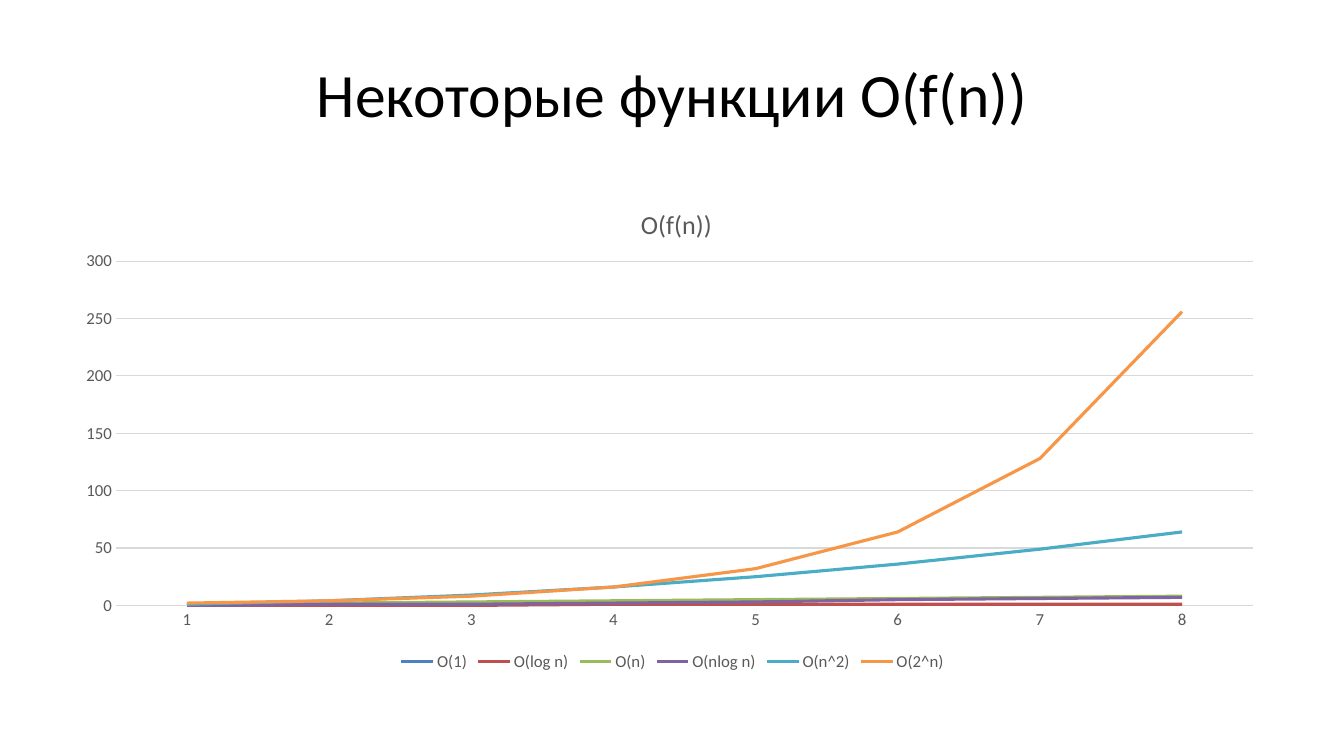
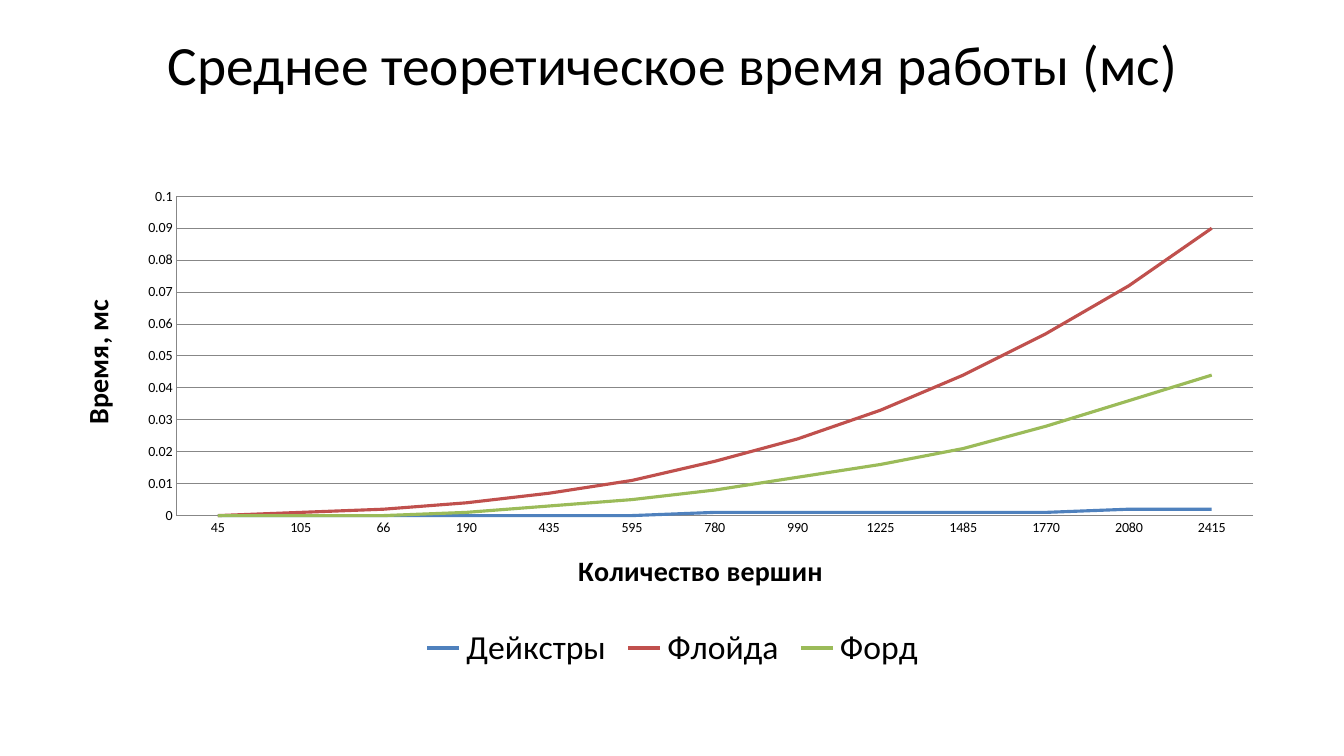
from dataclasses import dataclass
from typing import Optional

from lxml import etree
from pptx import Presentation
from pptx import util as u
from pptx.chart import data as chart_data
from pptx.dml.color import RGBColor
from pptx.enum import chart as ch
from pptx.enum import text
from pptx.oxml import ns

EMU_PER_PX = 9144  # 100 px to the inch
FONT = "Calibri"
BLACK, GREY, PALE, MID = "000000", "595959", "D9D9D9", "878787"
SERIES_COLOURS = ["4F81BD", "C0504D", "9BBB59", "8064A2", "4BACC6", "F79646"]
TITLE_BOX = (67, 30, 1200, 125)
CHART_BOX = (67, 175, 1200, 495)


@dataclass
class Curve:
    name: str
    values: list[float]


@dataclass
class Heading:
    words: str
    size: float
    anchor: text.MSO_ANCHOR = text.MSO_ANCHOR.MIDDLE
    top_inset: int = 5


@dataclass
class LineChart:
    categories: list[str]
    curves: list[Curve]
    top: float
    step: float
    plot: tuple[float, float, float, float]  # shares of the chart: x, y, w, h
    label_size: float
    label_colour: str
    legend_size: float
    axis_colour: str
    value_line: bool
    title: Optional[str] = None
    category_title: Optional[str] = None
    value_title: Optional[str] = None


def px(length: int) -> u.Emu:
    return u.Emu(length * EMU_PER_PX)


def rgb(colour: str) -> RGBColor:
    return RGBColor.from_string(colour)


def set_font(font, size: float, colour: str, bold: bool = False) -> None:
    font.name, font.size, font.bold = FONT, u.Pt(size), bold
    font.color.rgb = rgb(colour)


def set_line(line, colour: str, width: float = 0.75) -> None:
    line.color.rgb = rgb(colour)
    line.width = u.Pt(width)


def place(parent, index: int, inner: bool = False, **shares: float) -> None:
    """Give a chart part a manual layout in shares of the chart."""
    for old in parent.findall(ns.qn("c:layout")):
        parent.remove(old)
    layout = etree.Element(ns.qn("c:layout"))
    manual = etree.SubElement(layout, ns.qn("c:manualLayout"))
    settings = {"layoutTarget": "inner"} if inner else {}
    settings |= {"xMode": "edge", "yMode": "edge"}
    settings |= {key: str(share) for key, share in shares.items()}
    for key, setting in settings.items():
        etree.SubElement(manual, ns.qn(f"c:{key}")).set("val", setting)
    parent.insert(index, layout)


def write_title(frame, words: str, size: float, colour: str, bold: bool = False) -> None:
    frame.text = words
    set_font(frame.paragraphs[0].font, size, colour, bold)


def add_heading(slide, heading: Heading) -> None:
    title = slide.shapes.title
    title.left, title.top, title.width, title.height = map(px, TITLE_BOX)
    frame = title.text_frame
    frame.word_wrap = True
    frame.auto_size = text.MSO_AUTO_SIZE.NONE
    frame.vertical_anchor = heading.anchor
    frame.margin_top = px(heading.top_inset)
    write_title(frame, heading.words, heading.size, BLACK)
    frame.paragraphs[0].alignment = text.PP_ALIGN.CENTER


def style_axis(axis, model: LineChart, title: Optional[str]) -> None:
    axis.major_tick_mark = axis.minor_tick_mark = ch.XL_TICK_MARK.NONE
    set_font(axis.tick_labels.font, model.label_size, model.label_colour)
    set_line(axis.format.line, model.axis_colour)
    axis.has_title = title is not None
    if title is not None:
        write_title(axis.axis_title.text_frame, title, 20, BLACK, bold=True)


def add_line_chart(slide, model: LineChart) -> None:
    data = chart_data.CategoryChartData()
    data.categories = model.categories
    for curve in model.curves:
        data.add_series(curve.name, curve.values)
    chart = slide.shapes.add_chart(
        ch.XL_CHART_TYPE.LINE, *map(px, CHART_BOX), data).chart
    set_font(chart.font, 10, BLACK)

    # Chart title
    chart.has_title = model.title is not None
    if model.title is not None:
        write_title(chart.chart_title.text_frame, model.title, 18.6, GREY)
        place(chart.chart_title._element, 1, x=0.47, y=0.05)

    # Axes and gridlines
    style_axis(chart.category_axis, model, model.category_title)
    values = chart.value_axis
    style_axis(values, model, model.value_title)
    values.minimum_scale, values.maximum_scale = 0, model.top
    values.major_unit = model.step
    values.has_major_gridlines = True
    set_line(values.major_gridlines.format.line, model.axis_colour)
    if not model.value_line:
        values.format.line.fill.background()
    if model.value_title is not None:
        body = values.axis_title.text_frame._txBody.bodyPr
        body.set("rot", "-5400000")
        body.set("vert", "horz")

    # Curves
    plot = chart.plots[0]
    plot.vary_by_categories = False
    for series, colour in zip(plot.series, SERIES_COLOURS):
        series.smooth = False
        series.marker.style = ch.XL_MARKER_STYLE.NONE
        set_line(series.format.line, colour, 2.25)
    place(chart._chartSpace.chart.plotArea, 0, inner=True,
          **dict(zip("xywh", model.plot)))

    # Legend
    chart.has_legend = True
    chart.legend.position = ch.XL_LEGEND_POSITION.BOTTOM
    chart.legend.include_in_layout = False
    set_font(chart.legend.font, model.legend_size, model.label_colour)


GROWTH = LineChart(
    categories=[str(n) for n in range(1, 9)],
    curves=[
        Curve("O(1)", [1] * 8),
        Curve("O(log n)", [0, 0, 0, 1, 1, 1, 1, 1]),
        Curve("O(n)", list(range(1, 9))),
        Curve("O(nlog n)", [0, 1, 1, 2, 3, 5, 6, 7]),
        Curve("O(n^2)", [n ** 2 for n in range(1, 9)]),
        Curve("O(2^n)", [2 ** n for n in range(1, 9)]),
    ],
    top=300, step=50, plot=(0.04, 0.17, 0.94, 0.69),
    label_size=12, label_colour=GREY, legend_size=12,
    axis_colour=PALE, value_line=False, title="O(f(n))",
)

RUN_TIME = LineChart(
    categories=["45", "105", "66", "190", "435", "595", "780", "990",
                "1225", "1485", "1770", "2080", "2415"],
    curves=[
        Curve("Дейкстры", [0, 0, 0, 0, 0, 0, 0.001, 0.001, 0.001, 0.001,
                           0.001, 0.002, 0.002]),
        Curve("Флойда", [0, 0.001, 0.002, 0.004, 0.007, 0.011, 0.017, 0.024,
                         0.033, 0.044, 0.057, 0.072, 0.09]),
        Curve("Форд", [0, 0, 0, 0.001, 0.003, 0.005, 0.008, 0.012, 0.016,
                       0.021, 0.028, 0.036, 0.044]),
    ],
    top=0.1, step=0.01, plot=(0.09, 0.04, 0.89, 0.64),
    label_size=10, label_colour=BLACK, legend_size=24,
    axis_colour=MID, value_line=True,
    category_title="Количество вершин", value_title="Время, мс",
)

SLIDES = [
    (Heading("Некоторые функции O(f(n))", 44), GROWTH),
    (Heading("Среднее теоретическое время работы (мс)", 39.6,
             text.MSO_ANCHOR.TOP, 0), RUN_TIME),
]


def main() -> None:
    deck = Presentation()
    deck.slide_width, deck.slide_height = px(1333), px(750)
    title_only = deck.slide_layouts[5]
    for heading, model in SLIDES:
        slide = deck.slides.add_slide(title_only)
        add_heading(slide, heading)
        add_line_chart(slide, model)
    deck.save("out.pptx")


if __name__ == "__main__":
    main()
